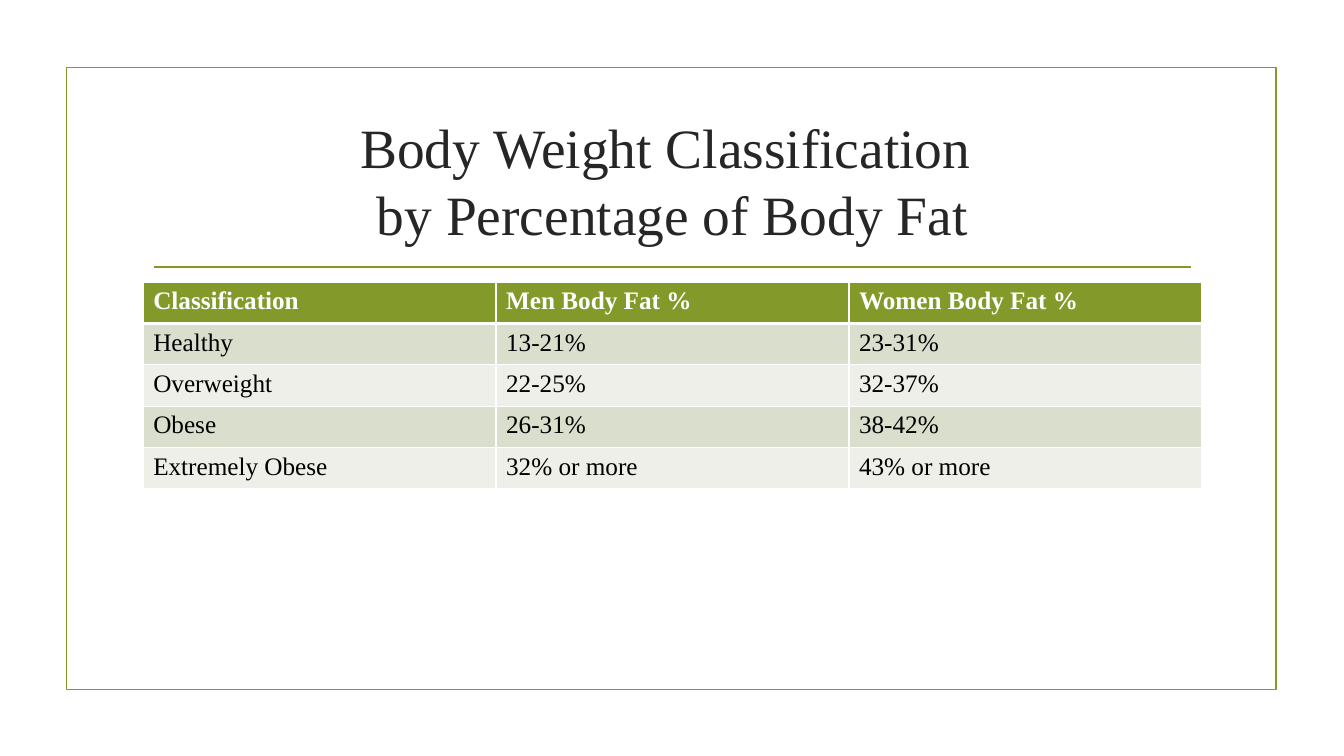
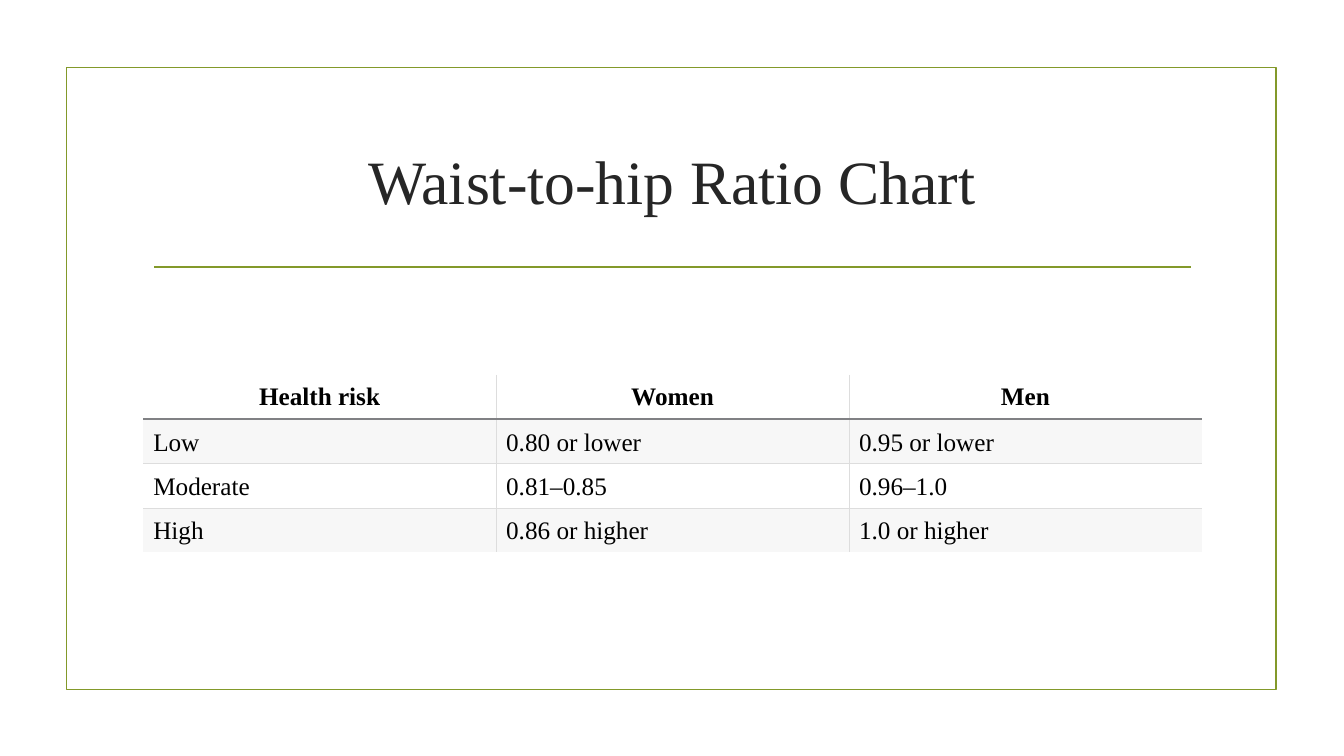
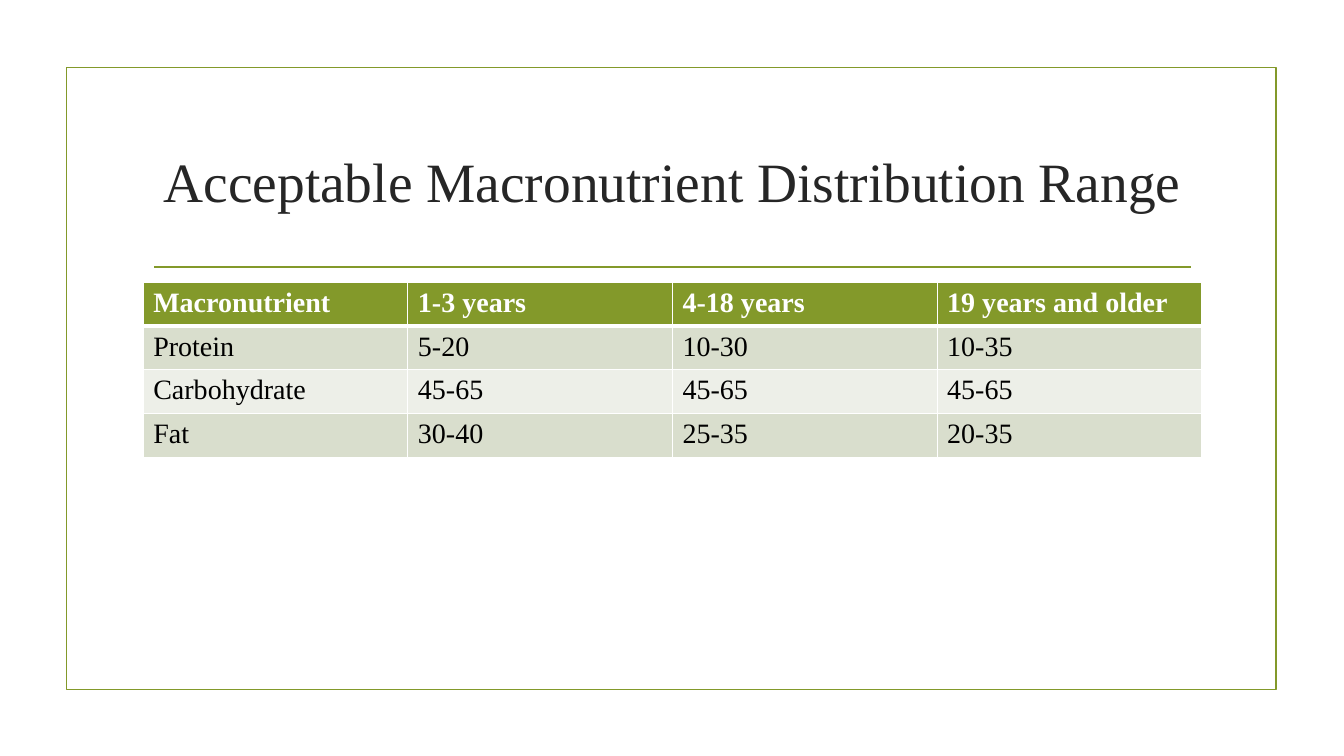
from dataclasses import dataclass
from typing import Optional

from lxml.etree import SubElement
from pptx import Presentation
from pptx.dml.color import RGBColor
from pptx.enum.shapes import MSO_CONNECTOR as Connector, MSO_SHAPE as Shape
from pptx.enum.text import MSO_ANCHOR as Anchor, PP_ALIGN as Align
from pptx.oxml.ns import qn
from pptx.slide import Slide
from pptx.table import _Cell as Cell
from pptx.text.text import _Paragraph as Paragraph
from pptx.util import Inches, Pt


@dataclass(frozen=True)
class Theme:
    font: str = "Times New Roman"
    white: RGBColor = RGBColor.from_string("FFFFFF")
    black: RGBColor = RGBColor.from_string("000000")
    ink: RGBColor = RGBColor.from_string("262626")
    green: RGBColor = RGBColor.from_string("83992A")
    sage: RGBColor = RGBColor.from_string("D9DECD")
    mist: RGBColor = RGBColor.from_string("EDEFE8")
    pearl: RGBColor = RGBColor.from_string("F7F7F7")
    silver: RGBColor = RGBColor.from_string("DDDDDD")
    slate: RGBColor = RGBColor.from_string("808184")
    title: float = 44
    long_title: float = 39.6
    cell: float = 18
    large_cell: float = 20
    accent_line: float = 1.25


THEME = Theme()
CONTENT_LEFT = 1.42
CONTENT_WIDTH = 10.5


@dataclass(frozen=True)
class Border:
    color: RGBColor
    width: float


@dataclass(frozen=True)
class TableLook:
    header_fill: Optional[RGBColor]
    header_color: RGBColor
    header_align: Align
    bands: tuple[Optional[RGBColor], Optional[RGBColor]]
    outer: Optional[Border]
    inner: Border
    header_rule: Border
    header_insets: tuple[float, float]
    body_insets: tuple[float, float]
    anchor: Anchor


@dataclass(frozen=True)
class TablePage:
    title_lines: tuple[str, ...]
    title_size: float
    look: TableLook
    top: float
    row_height: float
    cell_size: float
    rows: tuple[tuple[str, ...], ...]


GREEN_BANDS = TableLook(
    header_fill=THEME.green,
    header_color=THEME.white,
    header_align=Align.LEFT,
    bands=(THEME.sage, THEME.mist),
    outer=Border(THEME.white, 1),
    inner=Border(THEME.white, 1),
    header_rule=Border(THEME.white, 3),
    header_insets=(0.05, 0.05),
    body_insets=(0.05, 0.05),
    anchor=Anchor.TOP,
)

GREY_RULES = TableLook(
    header_fill=None,
    header_color=THEME.black,
    header_align=Align.CENTER,
    bands=(THEME.pearl, None),
    outer=None,
    inner=Border(THEME.silver, 0.75),
    header_rule=Border(THEME.slate, 1.5),
    header_insets=(0.07, 0.07),
    body_insets=(0.08, 0.06),
    anchor=Anchor.MIDDLE,
)

PAGES = (
    TablePage(
        ("Body Weight Classification ", "by Percentage of Body Fat"),
        THEME.long_title, GREEN_BANDS, 2.8, 0.41, THEME.cell,
        (
            ("Classification", "Men Body Fat %", "Women Body Fat %"),
            ("Healthy", "13-21%", "23-31%"),
            ("Overweight", "22-25%", "32-37%"),
            ("Obese", "26-31%", "38-42%"),
            ("Extremely Obese", "32% or more", "43% or more"),
        ),
    ),
    TablePage(
        ("Waist-to-hip Ratio Chart",),
        THEME.title, GREY_RULES, 3.72, 0.42, THEME.cell,
        (
            ("Health risk", "Women", "Men"),
            ("Low", "0.80 or lower", "0.95 or lower"),
            ("Moderate", "0.81–0.85", "0.96–1.0"),
            ("High", "0.86 or higher", "1.0 or higher"),
        ),
    ),
    TablePage(
        ("Acceptable Macronutrient Distribution Range",),
        THEME.long_title, GREEN_BANDS, 2.8, 0.41, THEME.large_cell,
        (
            ("Macronutrient", "1-3 years", "4-18 years", "19 years and older"),
            ("Protein", "5-20", "10-30", "10-35"),
            ("Carbohydrate", "45-65", "45-65", "45-65"),
            ("Fat", "30-40", "25-35", "20-35"),
        ),
    ),
)


def add_span(para: Paragraph, text: str, size: float, color: RGBColor,
             bold: bool = False) -> None:
    span = para.add_run()
    span.text = text
    span.font.name = THEME.font
    span.font.size = Pt(size)
    span.font.bold = bold
    span.font.color.rgb = color


def add_frame(page: Slide) -> None:
    frame = page.shapes.add_shape(
        Shape.RECTANGLE, Inches(0.66), Inches(0.67), Inches(12), Inches(6.17))
    frame.shadow.inherit = False
    frame.fill.background()
    divider = page.shapes.add_connector(
        Connector.STRAIGHT, Inches(1.53), Inches(2.65), Inches(11.81), Inches(2.65))
    for outline in (frame, divider):
        outline.line.color.rgb = THEME.green
        outline.line.width = Pt(THEME.accent_line)
    SubElement(divider._element.spPr, qn("a:effectLst"))


def add_title(page: Slide, lines: tuple[str, ...], size: float) -> None:
    box = page.shapes.add_textbox(
        Inches(CONTENT_LEFT), Inches(1.07), Inches(CONTENT_WIDTH), Inches(1.43))
    box.text_frame.word_wrap = True
    box.text_frame.vertical_anchor = Anchor.MIDDLE
    para = box.text_frame.paragraphs[0]
    para.alignment = Align.CENTER
    for index, line in enumerate(lines):
        if index:
            para.add_line_break()
        add_span(para, line, size, THEME.ink)


def set_border(cell: Cell, side: str, border: Optional[Border]) -> None:
    line = SubElement(cell._tc.get_or_add_tcPr(), qn(f"a:ln{side}"))
    if border is None:
        line.set("w", "0")
        SubElement(line, qn("a:noFill"))
        return
    line.set("w", str(int(Pt(border.width))))
    fill = SubElement(line, qn("a:solidFill"))
    SubElement(fill, qn("a:srgbClr")).set("val", str(border.color))


def horizontal_border(look: TableLook, edge: int, last: int) -> Optional[Border]:
    if edge in (0, last):
        return look.outer
    return look.header_rule if edge == 1 else look.inner


def vertical_border(look: TableLook, edge: int, last: int) -> Optional[Border]:
    return look.outer if edge in (0, last) else look.inner


def add_data_table(page: Slide, content: TablePage) -> None:
    look = content.look
    row_count, column_count = len(content.rows), len(content.rows[0])
    table = page.shapes.add_table(
        row_count, column_count, Inches(CONTENT_LEFT), Inches(content.top),
        Inches(CONTENT_WIDTH), Inches(content.row_height * row_count)).table
    table.first_row = False
    table.horz_banding = False
    for column in table.columns:
        column.width = Inches(CONTENT_WIDTH / column_count)
    for row, texts in enumerate(content.rows):
        table.rows[row].height = Inches(content.row_height)
        header = row == 0
        color = look.header_color if header else THEME.black
        fill = look.header_fill if header else look.bands[(row - 1) % 2]
        top, bottom = look.header_insets if header else look.body_insets
        for column, text in enumerate(texts):
            cell = table.cell(row, column)
            cell.vertical_anchor = look.anchor
            cell.margin_top, cell.margin_bottom = Inches(top), Inches(bottom)
            set_border(cell, "L", vertical_border(look, column, column_count))
            set_border(cell, "R", vertical_border(look, column + 1, column_count))
            set_border(cell, "T", horizontal_border(look, row, row_count))
            set_border(cell, "B", horizontal_border(look, row + 1, row_count))
            if fill is None:
                cell.fill.background()
            else:
                cell.fill.solid()
                cell.fill.fore_color.rgb = fill
            para = cell.text_frame.paragraphs[0]
            para.alignment = look.header_align if header else Align.LEFT
            add_span(para, text, content.cell_size, color, header)


def main() -> None:
    deck = Presentation()
    deck.slide_width, deck.slide_height = Inches(13.33), Inches(7.5)
    for content in PAGES:
        page = deck.slides.add_slide(deck.slide_layouts[6])
        add_frame(page)
        add_title(page, content.title_lines, content.title_size)
        add_data_table(page, content)
    deck.save("out.pptx")


if __name__ == "__main__":
    main()
